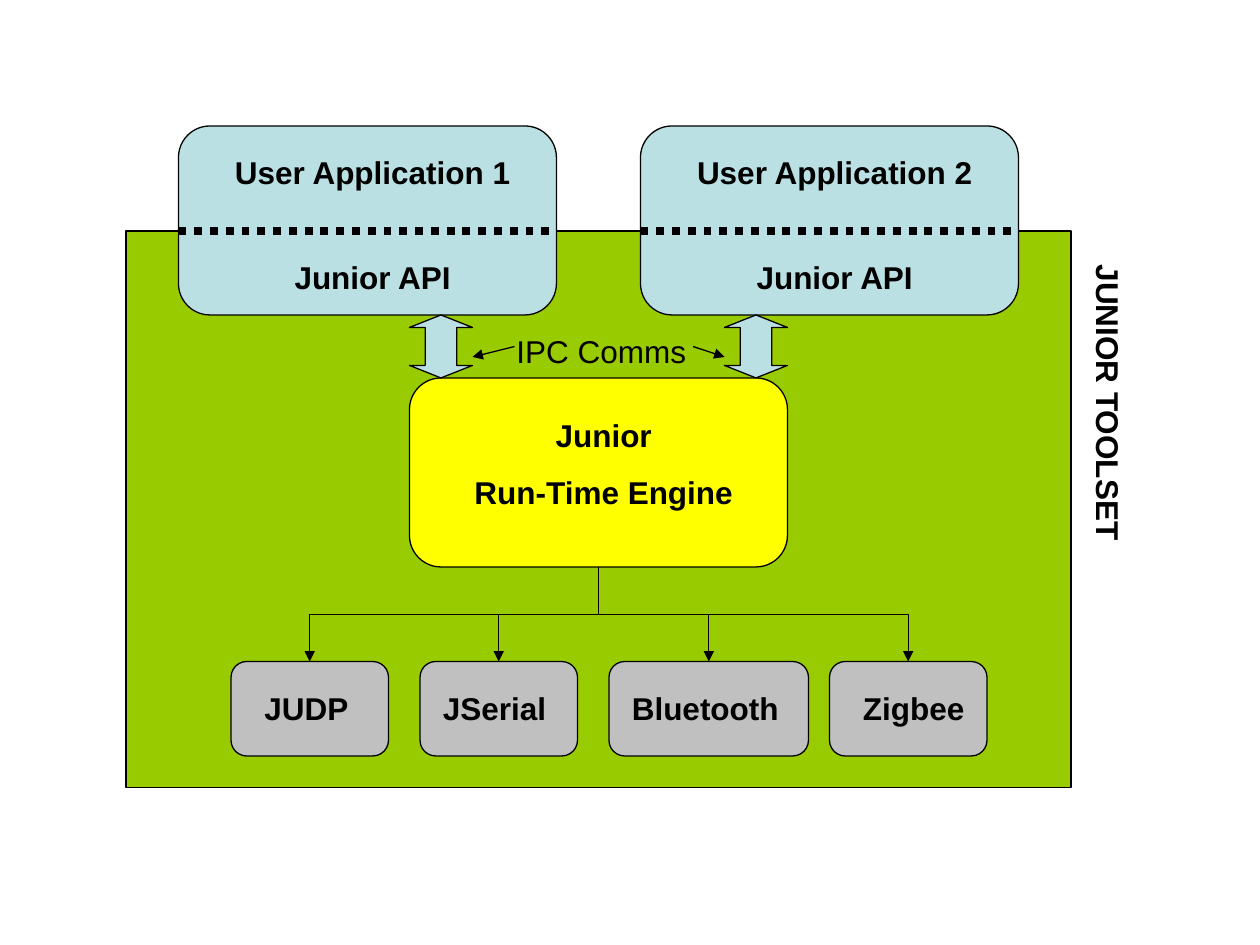
from lxml import etree
from pptx import Presentation, util as u
from pptx.dml.color import RGBColor
from pptx.enum import dml, shapes, text
from pptx.oxml.ns import qn

Pt = u.Pt
color = RGBColor.from_string
KIND = shapes.MSO_SHAPE
LINK = shapes.MSO_CONNECTOR
CENTER, LEFT = text.PP_ALIGN.CENTER, text.PP_ALIGN.LEFT
BLACK, GREEN, BLUE, YELLOW, GRAY = "000000", "99CC00", "BBE0E3", "FFFF00", "C0C0C0"

deck = Presentation()
deck.slide_width, deck.slide_height = Pt(720), Pt(540)
slide = deck.slides.add_slide(deck.slide_layouts[6])


def add_line(kind, start, end, width=0.75, arrow=True):
    line = slide.shapes.add_connector(kind, *map(Pt, start + end))
    line.line.color.rgb = color(BLACK)
    line.line.width = Pt(width)
    if arrow:
        etree.SubElement(line.line._get_or_add_ln(), qn("a:tailEnd"), type="triangle")
    etree.SubElement(line._element.spPr, qn("a:effectLst"))
    return line


def add_label(lines, left, top, width, height=29, align=CENTER, bold=True):
    box = slide.shapes.add_textbox(*map(Pt, (left, top, width, height)))
    frame = box.text_frame
    frame.word_wrap = True
    frame.auto_size = text.MSO_AUTO_SIZE.SHAPE_TO_FIT_TEXT
    for index, words in enumerate(lines):
        para = frame.paragraphs[0] if index == 0 else frame.add_paragraph()
        para.alignment = align
        if index:
            para.space_before = Pt(11.25)
        span = para.add_run()
        span.text = words
        span.font.color.rgb = color(BLACK)
        for name, value in {"name": "Arial", "size": Pt(18), "bold": bold}.items():
            setattr(span.font, name, value)
    return frame


app_lefts = (102, 366)
drivers = [
    ("JUDP", 132, 90, 144, 66),
    ("JSerial", 240, 90, 246, 90),
    ("Bluetooth", 348, 114, 354, 102),
    ("Zigbee", 474, 90, 486, 90),
]
rounded = KIND.FLOWCHART_ALTERNATE_PROCESS
blocks = [(KIND.RECTANGLE, GREEN, 72, 132, 540, 318)]
blocks += [(rounded, BLUE, left, 72, 216, 108) for left in app_lefts]
blocks += [(rounded, YELLOW, 234, 216, 216, 108)]
blocks += [(rounded, GRAY, left, 378, width, 54) for _, left, width, _, _ in drivers]
blocks += [(KIND.UP_DOWN_ARROW, BLUE, left, 180, 36, 36) for left in (234, 414)]

for kind, fill, *place in blocks:
    block = slide.shapes.add_shape(kind, *map(Pt, place))
    block.shadow.inherit = False
    block.fill.solid()
    block.fill.fore_color.rgb = color(fill)
    block.line.color.rgb = color(BLACK)
    block.line.width = Pt(0.75)
    if kind == KIND.UP_DOWN_ARROW:
        guides = block._element.spPr.find(qn("a:prstGeom")).find(qn("a:avLst"))
        for guide in list(guides):
            guides.remove(guide)
        for name, value in {"adj1": 50000, "adj2": 19900}.items():
            etree.SubElement(guides, qn("a:gd"), name=name, fmla=f"val {value}")

for number, left in enumerate(app_lefts, 1):
    divider = add_line(LINK.STRAIGHT, (left, 132), (left + 216, 132), 4.5, False)
    divider.line.dash_style = dml.MSO_LINE.ROUND_DOT
    add_label([f"User Application {number}"], left + 18, 84, 186)
    add_label(["Junior API"], left + 18, 144, 186)

add_label(["Junior", "Run-Time Engine"], 252, 234, 186, 62)

engine_x, middle_y, drop = 342, 351, 54
for name, left, width, label_left, label_width in drivers:
    add_label([name], label_left, 390, label_width, align=LEFT)
    driver_x = left + width / 2
    middle_x = (engine_x + driver_x) / 2
    reach = abs(driver_x - engine_x) / 2
    side = 1 if driver_x < engine_x else -1
    branch = add_line(
        LINK.ELBOW,
        (middle_x - side * drop / 2, middle_y - reach),
        (middle_x + side * drop / 2, middle_y + reach),
    )
    branch._element.spPr.xfrm.set("rot", str(side * 90 % 360 * 60000))

add_label(["IPC Comms"], 288, 186, 132, align=LEFT, bold=False)
for start_x, end_x in ((294, 270), (396, 414)):
    add_line(LINK.STRAIGHT, (start_x, 198), (end_x, 204))

side_frame = add_label(["JUNIOR TOOLSET"], 612, 144, 36, 294)
margins = {"margin_left": 3.6, "margin_right": 3.6, "margin_top": 7.2, "margin_bottom": 7.2}
for name, value in margins.items():
    setattr(side_frame, name, Pt(value))
side_frame._txBody.bodyPr.set("vert", "eaVert")

deck.save("out.pptx")
